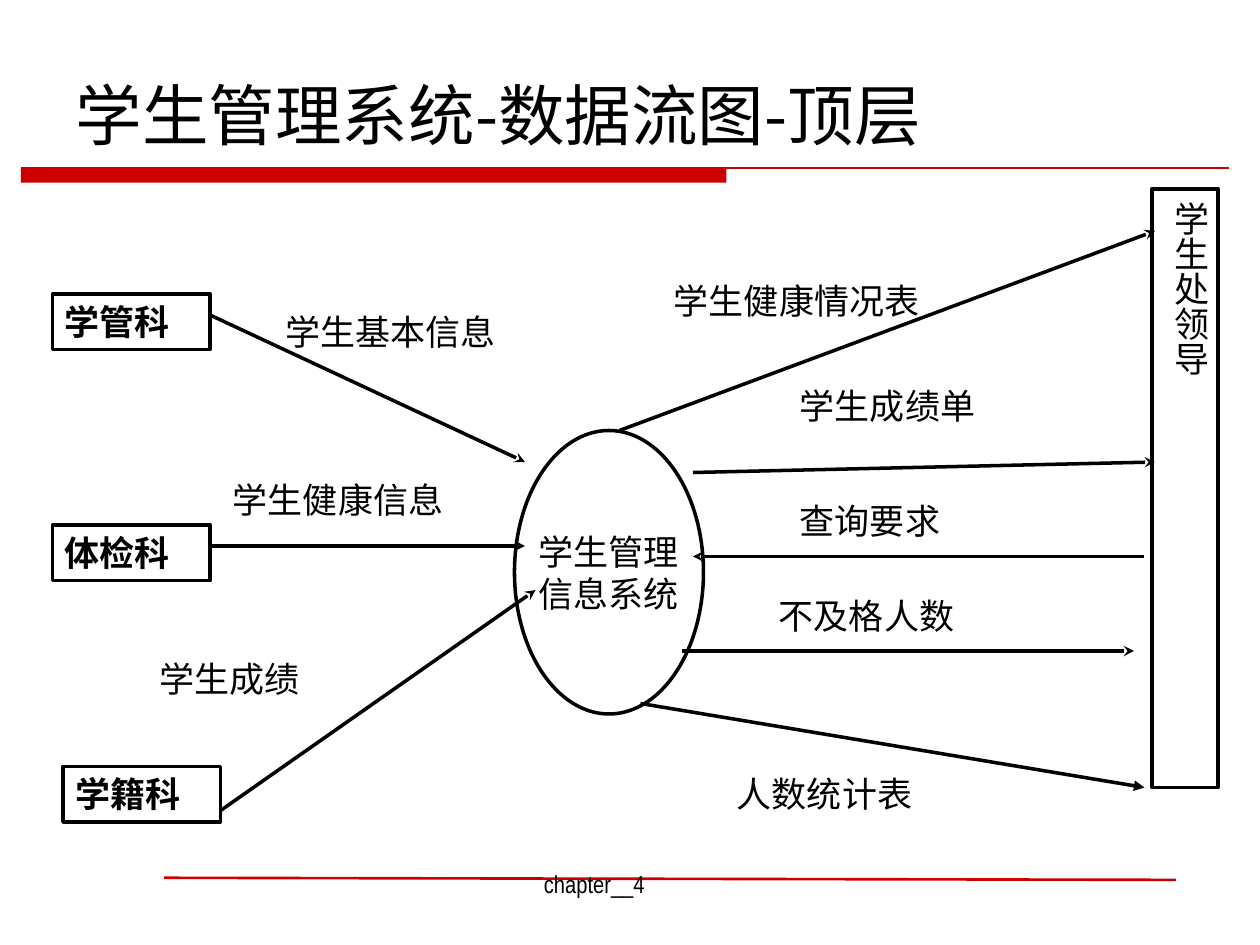
from lxml import etree
from pptx import Presentation
from pptx.dml.color import RGBColor
from pptx.enum.shapes import MSO_CONNECTOR, MSO_SHAPE
from pptx.enum.text import MSO_ANCHOR as ANCHOR, PP_ALIGN as ALIGN
from pptx.oxml.ns import qn
from pptx.util import Pt

EMU_PER_PX = 7620  # 120 px to the inch
SLIDE_W, SLIDE_H = 1200, 900
BLACK = RGBColor(0x00, 0x00, 0x00)
RED = RGBColor(0xCC, 0x00, 0x00)
LATIN, CJK = "Arial Narrow", "Noto Sans CJK SC"
BOX_H = 53


def px(*lengths):
    return [length * EMU_PER_PX for length in lengths]


def write(shape, text, size=20, font=LATIN, bold=False, align=ALIGN.LEFT,
          anchor=ANCHOR.TOP, wrap=True, margins=(12, 6, 12, 6)):
    frame = shape.text_frame
    left, top, right, bottom = px(*margins)
    frame_format = {"word_wrap": wrap, "vertical_anchor": anchor,
                    "margin_left": left, "margin_top": top,
                    "margin_right": right, "margin_bottom": bottom}
    for name, value in frame_format.items():
        setattr(frame, name, value)
    frame.text = text
    for paragraph in frame.paragraphs:
        paragraph.alignment = align
        for run in paragraph.runs:
            for name, value in {"size": Pt(size), "name": font, "bold": bold}.items():
                setattr(run.font, name, value)
            run.font.color.rgb = BLACK
            east_asian = etree.SubElement(run.font._element, qn("a:ea"))
            east_asian.set("typeface", CJK)


def add_label(slide, x, y, width, text, height=BOX_H, **text_format):
    label = slide.shapes.add_textbox(*px(x, y, width, height))
    write(label, text, **text_format)


def add_node(slide, kind, x, y, width, height, text, **text_format):
    node = slide.shapes.add_shape(kind, *px(x, y, width, height))
    node.shadow.inherit = False
    node.fill.background()
    node.line.color.rgb = BLACK
    node.line.width = Pt(2)
    write(node, text, **text_format)
    return node


def add_line(slide, start, end, color=BLACK, width=2, arrow=None):
    line = slide.shapes.add_connector(MSO_CONNECTOR.STRAIGHT, *px(*start, *end))
    line.line.color.rgb = color
    line.line.width = Pt(width)
    if arrow:
        etree.SubElement(line.line._get_or_add_ln(), qn("a:tailEnd")).set("type", arrow)
    etree.SubElement(line._element.spPr, qn("a:effectLst"))


def draw_header(slide, x, y):
    # Thick bar, thin rule and title
    bar = slide.shapes.add_shape(MSO_SHAPE.RECTANGLE, *px(x, y + 90, 672, 14))
    bar.shadow.inherit = False
    bar.fill.solid()
    bar.fill.fore_color.rgb = RED
    bar.line.fill.background()
    add_line(slide, (x, y + 90), (x + 1150, y + 90), RED, 0.75)

    title = slide.shapes.title
    title.left, title.top, title.width, title.height = px(x + 40, y, 1020, 110)
    write(title, "学生管理系统-数据流图-顶层", size=38, font=CJK, margins=(12, 0, 12, 0))


def draw_footer(slide, x, y):
    add_line(slide, (x, y), (x + 964, y + 2), RED, 1.5)
    add_label(slide, x + 54, y - 18, 712, "chapter__4", height=48, size=14,
              align=ALIGN.CENTER, anchor=ANCHOR.MIDDLE)


def draw_system(slide, x, y):
    add_node(slide, MSO_SHAPE.OVAL, x, y, 180, 270, "学生管理\n信息系统",
             align=ALIGN.CENTER, anchor=ANCHOR.MIDDLE, wrap=False)


def draw_sources(slide, x, y):
    # Department, its offset, flow start and end, label and label box
    sources = [
        ("学管科", (0, 0), (150, 20), (450, 160), "学生基本信息", (210, 10, 290)),
        ("体检科", (0, 220), (150, 240), (450, 240), "学生健康信息", (160, 170, 260)),
        ("学籍科", (10, 450), (160, 492), (460, 282), "学生成绩", (90, 340, 160)),
    ]
    for department, (dx, dy), start, end, flow, (label_x, label_y, width) in sources:
        add_node(slide, MSO_SHAPE.RECTANGLE, x + dx, y + dy, 150, BOX_H,
                 department, bold=True)
        add_line(slide, (x + start[0], y + start[1]), (x + end[0], y + end[1]),
                 arrow="stealth")
        add_label(slide, x + label_x, y + label_y, width, flow)


def draw_leaders(slide, x, y):
    # Tall box with vertical text at the right of the region
    leaders = add_node(slide, MSO_SHAPE.RECTANGLE, x + 507, y, 63, 570, "学生处领导",
                       align=ALIGN.CENTER, margins=(6, 12, 6, 12))
    leaders.text_frame._txBody.bodyPr.set("vert", "eaVert")

    # Flow label and its place, flow start and end, arrowhead
    flows = [
        ("学生健康情况表", (40, 80), (0, 230), (510, 40), "stealth"),
        ("学生成绩单", (160, 180), (70, 270), (510, 260), "stealth"),
        ("查询要求", (160, 290), (500, 350), (70, 350), "stealth"),
        ("不及格人数", (140, 380), (60, 440), (490, 440), "stealth"),
        ("人数统计表", (100, 550), (20, 490), (500, 570), "triangle"),
    ]
    for flow, (label_x, label_y), start, end, arrow in flows:
        add_line(slide, (x + start[0], y + start[1]), (x + end[0], y + end[1]),
                 arrow=arrow)
        add_label(slide, x + label_x, y + label_y, 280, flow)


def main():
    presentation = Presentation()
    presentation.slide_width, presentation.slide_height = px(SLIDE_W, SLIDE_H)
    slide = presentation.slides.add_slide(presentation.slide_layouts[5])
    draw_header(slide, 20, 70)
    draw_footer(slide, 156, 836)
    draw_system(slide, 490, 410)
    draw_sources(slide, 50, 280)
    draw_leaders(slide, 590, 180)
    presentation.save("out.pptx")


if __name__ == "__main__":
    main()
